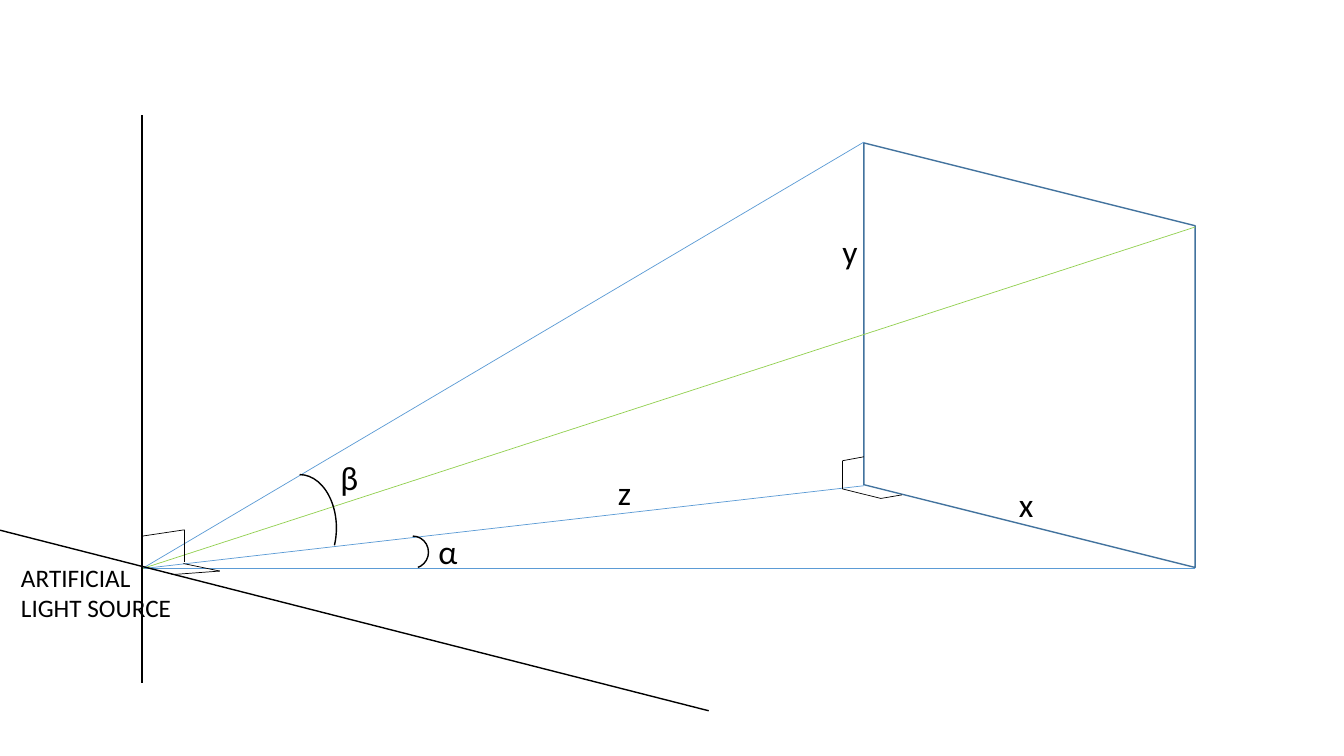
from itertools import pairwise

from lxml import etree
from pptx import Presentation
from pptx.dml.color import RGBColor
from pptx.enum.shapes import MSO_CONNECTOR, MSO_SHAPE
from pptx.enum.text import MSO_AUTO_SIZE
from pptx.oxml.ns import qn
from pptx.util import Cm, Pt

STRAIGHT = MSO_CONNECTOR.STRAIGHT
PARALLELOGRAM = MSO_SHAPE.PARALLELOGRAM
ARC = MSO_SHAPE.ARC
GROW = MSO_AUTO_SIZE.SHAPE_TO_FIT_TEXT

FONT = "Calibri"
BLACK, BLUE, GREEN, WALL = "000000", "5B9BD5", "92D050", "43739E"

SOURCE = (3.58, 14.33)
WALL_LEFT, WALL_TOP, WALL_RIGHT, WALL_BOTTOM = 21.77, 3.6, 30.12, 14.3

RAYS = [
    ((WALL_RIGHT, 14.33), BLUE),
    ((WALL_LEFT, 12.24), BLUE),
    ((WALL_LEFT, 3.58), BLUE),
    ((WALL_RIGHT, 5.72), GREEN),
]
AXES = [
    [(3.58, 17.2), (3.58, 2.9)],
    [(17.86, 17.91), (0, 13.36)],
]
RIGHT_ANGLES = [
    [(21.77, 11.51), (21.23, 11.61), (21.23, 12.32), (22.2, 12.56), (22.73, 12.47)],
    [(3.58, 13.51), (4.65, 13.35), (4.65, 14.17)],
    [(4.32, 14.48), (5.54, 14.39), (4.62, 14.2)],
]
ANGLES = [
    ((10.01, 13.51, 0.79, 0.81), 42.94),
    ((6.63, 11.96, 1.85, 2.69), 15.94),
]
LABELS = [
    ("z", 15.32, 11.76, 1.52, 1.27, 24),
    ("x", 25.43, 12.07, 2.54, 1.27, 24),
    ("y", 20.98, 5.69, 1.52, 1.27, 24),
    ("α", 10.8, 13.26, 2.16, 1.27, 24),
    ("β", 8.33, 11.4, 2.16, 1.27, 24),
    ("ARTIFICIAL LIGHT SOURCE", 0.28, 14.05, 4.37, 1.8, 18),
]


def rgb(color):
    return RGBColor.from_string(color)


def add_path(s, points, color, width):
    for start, end in pairwise(points):
        c = s.shapes.add_connector(STRAIGHT, *map(Cm, start + end))
        c.line.color.rgb = rgb(color)
        c.line.width = Pt(width)
        etree.SubElement(c._element.spPr, qn("a:effectLst"))


def add_outline(s, kind, box, color):
    sp = s.shapes.add_shape(kind, *map(Cm, box))
    sp.shadow.inherit = False
    sp.fill.background()
    sp.line.color.rgb = rgb(color)
    sp.line.width = Pt(1)
    return sp


def add_label(s, text, left, top, width, height, size):
    tf = s.shapes.add_textbox(Cm(left), Cm(top), Cm(width), Cm(height)).text_frame
    tf.word_wrap = True
    tf.auto_size = GROW
    r = tf.paragraphs[0].add_run()
    r.text = text
    r.font.name = FONT
    r.font.size = Pt(size)
    r.font.color.rgb = rgb(BLACK)


def main():
    prs = Presentation()
    prs.slide_width, prs.slide_height = Cm(33.87), Cm(19.05)
    s = prs.slides.add_slide(prs.slide_layouts[6])

    across, down = WALL_RIGHT - WALL_LEFT, WALL_BOTTOM - WALL_TOP
    left = (WALL_LEFT + WALL_RIGHT - down) / 2
    top = (WALL_TOP + WALL_BOTTOM - across) / 2
    wall = add_outline(s, PARALLELOGRAM, (left, top, down, across), WALL)
    wall.rotation = 270

    for end, color in RAYS:
        add_path(s, [SOURCE, end], color, 0.5)
    for axis in AXES:
        add_path(s, axis, BLACK, 1)
    for mark in RIGHT_ANGLES:
        add_path(s, mark, BLACK, 0.5)
    for box, end in ANGLES:
        arc = add_outline(s, ARC, box, BLACK)
        arc.adjustments[0] = 162
        arc.adjustments[1] = end
    for label in LABELS:
        add_label(s, *label)

    prs.save("out.pptx")


if __name__ == "__main__":
    main()
